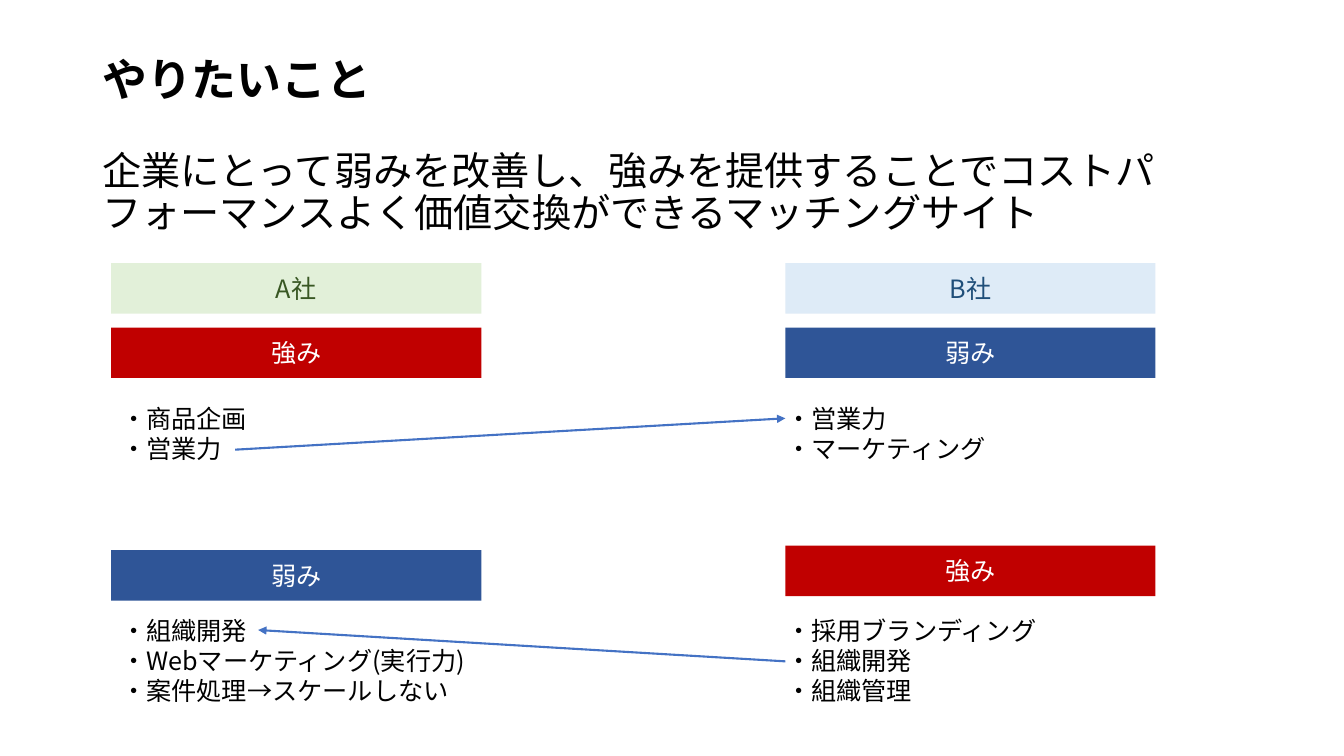
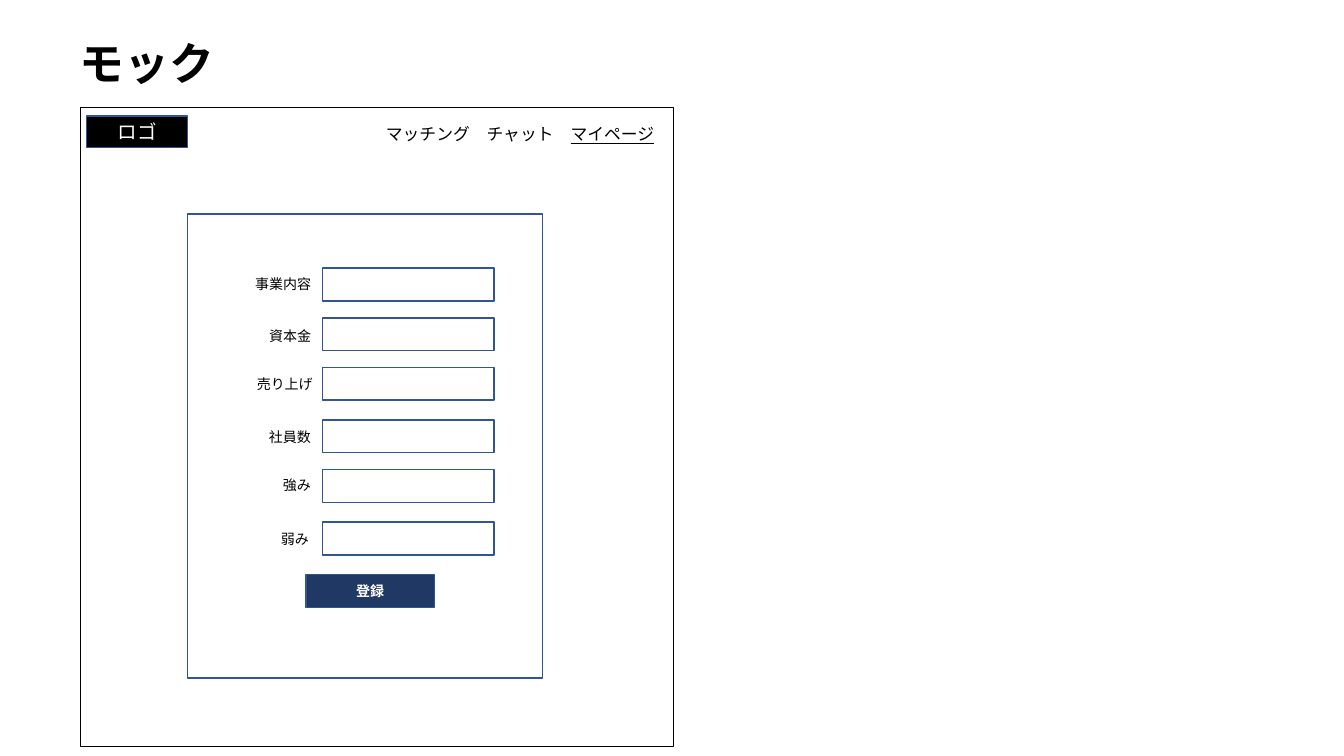
from dataclasses import dataclass, replace
from typing import Any, Optional

from lxml.etree import SubElement
from pptx import Presentation
from pptx.dml.color import RGBColor
from pptx.enum.shapes import MSO_CONNECTOR, MSO_SHAPE
from pptx.enum.text import MSO_ANCHOR, MSO_AUTO_SIZE, PP_ALIGN
from pptx.oxml.ns import qn
from pptx.util import Pt

FONT = "Noto Sans CJK JP"
COLORS = {
    "black": "000000",
    "white": "FFFFFF",
    "company_a": "E2F0D9",
    "company_a_text": "385723",
    "company_b": "DEEBF7",
    "company_b_text": "1F4E79",
    "strength": "C00000",
    "weakness": "2F5597",
    "arrow": "4472C4",
    "outline": "325491",
    "button": "203864",
}


@dataclass(frozen=True)
class Area:
    left: float
    top: float
    width: float
    height: float


@dataclass(frozen=True)
class Style:
    size: float
    color: str = "black"
    bold: bool = False
    underline: bool = False


@dataclass(frozen=True)
class Panel:
    area: Area
    fill: Optional[str] = None
    outline: Optional[str] = None
    outline_width: float = 1
    text: str = ""
    style: Style = Style(18)


@dataclass(frozen=True)
class Arrow:
    start: tuple[float, float]
    end: tuple[float, float]


@dataclass(frozen=True)
class Field:
    label: str
    label_right: float
    label_top: float
    box_top: float


TITLE = Style(32, bold=True)
LEAD = Style(28)
LIST = Style(18)
NAV = Style(12)
LABEL = Style(10)


def rgb(name: str) -> RGBColor:
    return RGBColor.from_string(COLORS[name])


def add_run(paragraph: Any, text: str, style: Style) -> None:
    run = paragraph.add_run()
    run.text = text
    font = run.font
    font.name = FONT
    font.size = Pt(style.size)
    font.bold = style.bold
    font.underline = style.underline
    font.color.rgb = rgb(style.color)
    latin = run._r.get_or_add_rPr().find(qn("a:latin"))
    east_asian = SubElement(latin.getparent(), qn("a:ea"), typeface=FONT)
    latin.addnext(east_asian)


def place(area: Area) -> tuple[Pt, Pt, Pt, Pt]:
    return Pt(area.left), Pt(area.top), Pt(area.width), Pt(area.height)


def add_text(shapes: Any, area: Area, lines: list[list[tuple[str, Style]]],
             wrap: bool = True, grow: bool = True) -> Any:
    frame = shapes.add_textbox(*place(area)).text_frame
    frame.word_wrap = wrap
    frame.auto_size = MSO_AUTO_SIZE.SHAPE_TO_FIT_TEXT if grow else MSO_AUTO_SIZE.NONE
    for index, runs in enumerate(lines):
        paragraph = frame.add_paragraph() if index else frame.paragraphs[0]
        for text, style in runs:
            add_run(paragraph, text, style)
    return frame


def add_title(shapes: Any, text: str, left: float, top: float) -> None:
    frame = add_text(shapes, Area(left, top, 828, 59), [[(text, TITLE)]], grow=False)
    frame.vertical_anchor = MSO_ANCHOR.MIDDLE
    frame.paragraphs[0].line_spacing = 0.9


def add_panel(shapes: Any, panel: Panel) -> None:
    shape = shapes.add_shape(MSO_SHAPE.RECTANGLE, *place(panel.area))
    shape.shadow.inherit = False
    if panel.fill:
        shape.fill.solid()
        shape.fill.fore_color.rgb = rgb(panel.fill)
    else:
        shape.fill.background()
    if panel.outline:
        shape.line.color.rgb = rgb(panel.outline)
        shape.line.width = Pt(panel.outline_width)
    else:
        shape.line.fill.background()
    if panel.text:
        frame = shape.text_frame
        frame.vertical_anchor = MSO_ANCHOR.MIDDLE
        frame.paragraphs[0].alignment = PP_ALIGN.CENTER
        add_run(frame.paragraphs[0], panel.text, panel.style)


def add_arrow(shapes: Any, arrow: Arrow) -> None:
    ends = [Pt(value) for value in (*arrow.start, *arrow.end)]
    connector = shapes.add_connector(MSO_CONNECTOR.STRAIGHT, *ends)
    connector.line.color.rgb = rgb("arrow")
    connector.line.width = Pt(1.5)
    SubElement(connector.line._get_or_add_ln(), qn("a:tailEnd"), type="triangle")
    SubElement(connector._element.spPr, qn("a:effectLst"))


def add_field(shapes: Any, field: Field) -> None:
    row = shapes.add_group_shape().shapes
    width = len(field.label) * LABEL.size + 14.6
    label_area = Area(field.label_right - width, field.label_top, width, 19.4)
    add_text(row, label_area, [[(field.label, LABEL)]], wrap=False)
    add_panel(row, Panel(Area(230.4, field.box_top, 122.4, 23.4), "white", "outline"))


def build_goal(shapes: Any) -> None:
    add_title(shapes, "やりたいこと", 66, 28.75)
    lead = "企業にとって弱みを改善し、強みを提供することでコストパフォーマンスよく価値交換ができるマッチングサイト"
    frame = add_text(shapes, Area(66, 104.4, 828, 90), [[(lead, LEAD)]], grow=False)
    frame.paragraphs[0].line_spacing = 0.9
    frame.paragraphs[0].space_before = Pt(10)

    company_a = Area(79.4, 188, 264.4, 36)
    company_b = replace(company_a, left=561)
    white = Style(18, "white")
    for panel in (
        Panel(company_a, "company_a", text="A社", style=Style(18, "company_a_text")),
        Panel(company_b, "company_b", text="B社", style=Style(18, "company_b_text")),
        Panel(replace(company_a, top=234), "strength", text="強み", style=white),
        Panel(replace(company_a, top=393), "weakness", text="弱み", style=white),
        Panel(replace(company_b, top=389.8), "strength", text="強み", style=white),
        Panel(replace(company_b, top=234), "weakness", text="弱み", style=white),
    ):
        add_panel(shapes, panel)

    for area, points in (
        (Area(79.4, 284.4, 106, 51), ["商品企画", "営業力"]),
        (Area(554.4, 284.4, 160, 51), ["営業力", "マーケティング"]),
        (Area(79.4, 435.6, 266, 73),
         ["組織開発", "Webマーケティング(実行力)", "案件処理→スケールしない"]),
        (Area(554.4, 435.6, 202, 73), ["採用ブランディング", "組織開発", "組織管理"]),
    ):
        add_text(shapes, area, [[("・" + point, LIST)] for point in points])

    add_arrow(shapes, Arrow((168, 321.2), (561, 298.8)))
    add_arrow(shapes, Arrow((561, 472.4), (184.4, 450)))


def build_mock(shapes: Any) -> None:
    add_title(shapes, "モック", 49.7, 17.3)
    add_panel(shapes, Panel(Area(57.4, 76.6, 423.4, 456.6), outline="black", outline_width=0.25))
    add_panel(shapes, Panel(Area(61.9, 83, 72, 22.4), "black", "outline",
                            text="ロゴ", style=Style(14, "white")))
    menu = [("マッチング　チャット　", NAV), ("マイページ", replace(NAV, underline=True))]
    add_text(shapes, Area(268.6, 85, 208, 21.8), [menu], wrap=False)
    add_panel(shapes, Panel(Area(134, 152.9, 253.6, 331.4), "white", "outline"))
    add_panel(shapes, Panel(Area(218.6, 410.4, 91.6, 23.4), "button", "outline",
                            text="登録", style=Style(10, "white", bold=True)))
    for field in (
        Field("事業内容", 229.8, 193, 191.5),
        Field("資本金", 229.8, 230.4, 227.2),
        Field("売り上げ", 231, 264.4, 262.5),
        Field("社員数", 229.6, 302.4, 300),
        Field("強み", 229.6, 337, 335.6),
        Field("弱み", 228.2, 375.1, 373),
    ):
        add_field(shapes, field)


def main() -> None:
    deck = Presentation()
    deck.slide_width, deck.slide_height = Pt(960), Pt(540)
    for build in (build_goal, build_mock):
        build(deck.slides.add_slide(deck.slide_layouts[6]).shapes)
    deck.save("out.pptx")


main()
